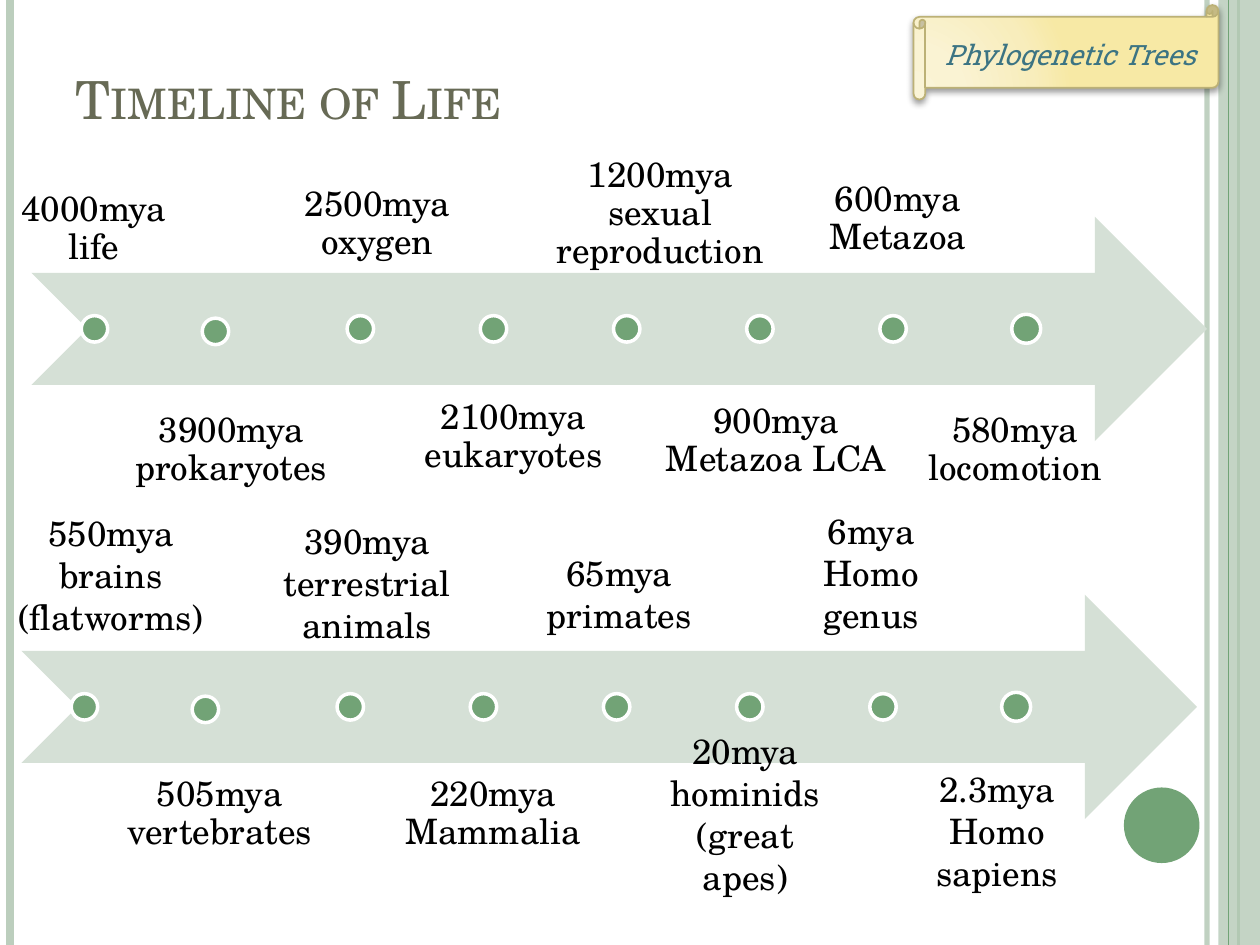
from pptx import Presentation
from pptx.dml.color import RGBColor
from pptx.enum.shapes import MSO_CONNECTOR, MSO_SHAPE
from pptx.enum.text import MSO_ANCHOR, MSO_AUTO_SIZE, PP_ALIGN
from pptx.oxml import parse_xml
from pptx.oxml.ns import nsdecls, qn
from pptx.oxml.xmlchemy import OxmlElement
from pptx.util import Inches, Pt

COLORS = {"rule": "BCCEBD", "green": "72A376", "arrow": "D5E0D6", "white": "FFFFFF",
          "title": "676A55", "text": "000000", "tag": "3C7483", "scroll_line": "BCB176"}
PARCHMENT = [(0, "FAF4D7"), (30, "FAF3D3"), (75, "F8EDBC"), (100, "F7E9A5")]
SERIF, SLAB = "TeX Gyre Schola", "Roboto Slab"
COLUMNS, ROWS = 10, 7.5  # square grid cells
ARROW_W, ARROW_H = 9.33, 1.78
LABEL_H, LABEL_INSET = 1.78, 0.16
DOTS = [(0.5, 0.89), (1.46, 0.91)] + [(2.61 + 1.057 * i, 0.89) for i in range(6)]

# Labels: text, left column, top row, width in columns
TIGHT_ABOVE = [
    ("4000mya life", -0.17, 0.5, 1.83),
    ("2500mya oxygen", 2, 0.46, 1.99),
    ("1200mya sexual reproduction", 4.08, 0.53, 2.32),
    ("600mya Metazoa", 6.25, 0.42, 1.75),
    ("580mya locomotion", 7.14, 2.25, 1.83),
    ("505mya vertebrates", 0.83, 5.14, 1.83),
    ("220mya Mammalia", 3, 5.14, 1.83),
]
TIGHT_BELOW = [
    ("3900mya prokaryotes", 0.75, 3.11, 2.17),
    ("2100mya eukaryotes", 3.08, 3.01, 1.99),
    ("900mya Metazoa LCA", 5.08, 3.04, 2.16),
]
LOOSE = [
    ("550mya brains (flatworms)", -0.08, 3.44, 1.92),
    ("390mya terrestrial animals", 2, 3.5, 1.83),
    ("65mya primates", 4, 3.42, 1.83),
    ("6mya Homo genus", 6, 3.42, 1.83),
    ("20mya hominids (great apes)", 5, 5.5, 1.83),
    ("2.3mya Homo sapiens", 7, 5.47, 1.83),
]


def color(name):
    return RGBColor.from_string(COLORS[name])


class TimelineSlide:
    def __init__(self, prs):
        self.s = prs.slides.add_slide(prs.slide_layouts[5])
        self.cell = prs.slide_width / COLUMNS

    def box(self, *lengths):
        return [round(n * self.cell) for n in lengths]

    def set_alpha(self, sp, percent):
        alpha = OxmlElement("a:alpha")
        alpha.set("val", str(percent * 1000))
        sp._element.spPr.find(".//" + qn("a:srgbClr")).append(alpha)

    def rule(self, x, name, width):
        line = self.s.shapes.add_connector(MSO_CONNECTOR.STRAIGHT, *self.box(x, 0, x, ROWS))
        line.line.color.rgb = color(name)
        line.line.width = Pt(width)
        line._element.spPr.append(OxmlElement("a:effectLst"))
        return line

    def shape(self, kind, x, y, w, h, fill, outline=None, width=0, parent=None):
        shapes = (parent or self.s).shapes
        sp = shapes.add_shape(kind, *self.box(x, y, w, h))
        sp.shadow.inherit = False
        sp.fill.solid()
        sp.fill.fore_color.rgb = color(fill)
        if outline:
            sp.line.color.rgb = color(outline)
            sp.line.width = Pt(width)
        else:
            sp.line.fill.background()
        return sp

    def style(self, p, size, font, name):
        r = p.runs[0]
        r.font.size, r.font.name = Pt(size), font
        r.font.color.rgb = color(name)
        return r

    def title(self, text, x, y, w, h):
        sp = self.s.shapes.title
        sp.left, sp.top, sp.width, sp.height = self.box(x, y, w, h)
        tf = sp.text_frame
        tf.text = text
        tf.vertical_anchor = MSO_ANCHOR.BOTTOM
        p = tf.paragraphs[0]
        p.alignment = PP_ALIGN.LEFT
        r = self.style(p, 30, SERIF, "title")
        r._r.get_or_add_rPr().set("cap", "small")

    def text(self, text, x, y, w, h, size=20, font=SERIF, name="text"):
        tf = self.s.shapes.add_textbox(*self.box(x, y, w, h)).text_frame
        tf.word_wrap = True
        tf.text = text
        p = tf.paragraphs[0]
        p.alignment = PP_ALIGN.CENTER
        self.style(p, size, font, name)
        return tf

    def label(self, text, x, y, w, anchor=MSO_ANCHOR.BOTTOM, spacing=1.0):
        tf = self.text(text, x, y, w, LABEL_H)
        tf.margin_left = tf.margin_right = Inches(LABEL_INSET)
        tf.margin_top = tf.margin_bottom = Inches(LABEL_INSET)
        tf.vertical_anchor = anchor
        tf.paragraphs[0].line_spacing = spacing

    def timeline(self, x, y):
        group = self.s.shapes.add_group_shape()
        self.shape(MSO_SHAPE.NOTCHED_RIGHT_ARROW, x, y, ARROW_W, ARROW_H, "arrow", parent=group)
        for i, (dx, dy) in enumerate(DOTS, 1):
            d = 0.23 if i == len(DOTS) else 0.21
            self.shape(MSO_SHAPE.OVAL, x + dx - d / 2, y + dy - d / 2, d, d,
                       "green", "white", 2, group)

    def scroll(self, text, x, y, w, h):
        sp = self.shape(MSO_SHAPE.HORIZONTAL_SCROLL, x, y, w, h, "white", "scroll_line", 1)
        spPr = sp._element.spPr
        stops = "".join(f'<a:gs pos="{pos * 1000}"><a:srgbClr val="{c}"/></a:gs>'
                        for pos, c in PARCHMENT)
        spPr.replace(spPr.find(qn("a:solidFill")), parse_xml(
            f'<a:gradFill {nsdecls("a")}><a:gsLst>{stops}</a:gsLst><a:path path="circle">'
            '<a:fillToRect l="5000" t="100000" r="120000" b="10000"/></a:path></a:gradFill>'))
        spPr.find(qn("a:effectLst")).append(parse_xml(
            f'<a:outerShdw {nsdecls("a")} blurRad="{Pt(4)}" dist="{Pt(2)}" dir="5400000">'
            '<a:srgbClr val="000000"><a:alpha val="40000"/></a:srgbClr></a:outerShdw>'))
        tf = self.text(text, x + 0.08, y + 0.21, 2.33, 0.37, 16, SLAB, "tag")
        tf.auto_size = MSO_AUTO_SIZE.SHAPE_TO_FIT_TEXT
        tf.paragraphs[0].runs[0].font.italic = True


def main():
    prs = Presentation()
    prs.slide_width, prs.slide_height = Inches(COLUMNS), Inches(ROWS)
    slide = TimelineSlide(prs)

    # Side rules, right band and corner disc
    slide.set_alpha(slide.rule(9.58, "rule", 3), 93)
    slide.rule(0.08, "rule", 4.5)
    slide.rule(9.83, "green", 1.5)
    slide.set_alpha(slide.shape(MSO_SHAPE.RECTANGLE, 9.67, 0, 0.33, ROWS, "rule"), 87)
    slide.rule(9.75, "green", 0.75)
    slide.shape(MSO_SHAPE.OVAL, 8.92, 6.25, 0.6, 0.6, "green")

    # Title and topic scroll
    slide.title("Timeline of Life", 0.5, 0.3, 9, 0.78)
    slide.scroll("Phylogenetic Trees", 7.25, 0.04, 2.42, 0.75)

    # Timelines
    slide.timeline(0.25, 1.72)
    slide.timeline(0.17, 4.72)

    # Event labels
    for event in TIGHT_ABOVE:
        slide.label(*event, spacing=0.9)
    for event in TIGHT_BELOW:
        slide.label(*event, anchor=MSO_ANCHOR.TOP, spacing=0.9)
    for event in LOOSE:
        slide.label(*event)

    prs.save("out.pptx")


if __name__ == "__main__":
    main()
